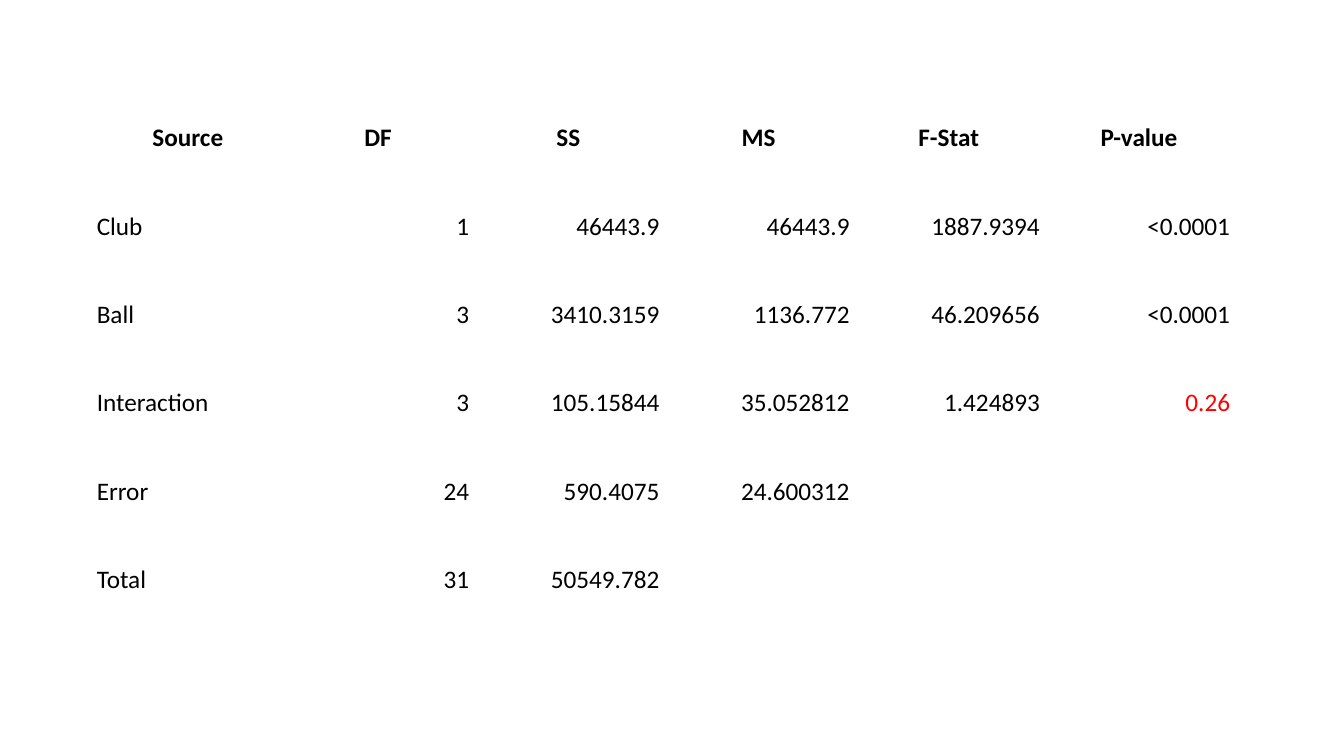
from pptx import Presentation
from pptx.dml.color import RGBColor
from pptx.enum import text
from pptx.util import Inches, Pt

HEADINGS = ["Source", "DF", "SS", "MS", "F-Stat", "P-value"]
EFFECTS = [
    ["Club", "1", "46443.9", "46443.9", "1887.9394", "<0.0001"],
    ["Ball", "3", "3410.3159", "1136.772", "46.209656", "<0.0001"],
    ["Interaction", "3", "105.15844", "35.052812", "1.424893", "0.26"],
    ["Error", "24", "590.4075", "24.600312", "", ""],
    ["Total", "31", "50549.782", "", "", ""],
]
NOT_SIGNIFICANT = (3, 5)
CELL_MARGIN = Inches(0.04)


def colour(hex_code):
    return RGBColor.from_string(hex_code)


def fill_cell(cell, value, align, ink, bold):
    cell.fill.solid()
    cell.fill.fore_color.rgb = colour("FFFFFF")
    cell.margin_left = cell.margin_right = CELL_MARGIN
    cell.margin_top = cell.margin_bottom = CELL_MARGIN
    cell.vertical_anchor = text.MSO_ANCHOR.TOP
    if not value:
        return
    paragraph = cell.text_frame.paragraphs[0]
    paragraph.alignment = align
    run = paragraph.add_run()
    run.text = value
    run.font.name = "Calibri"
    run.font.size = Pt(18)
    run.font.bold = bold
    run.font.color.rgb = colour(ink)


def add_anova_table(slide, left, top, width, height):
    """Place the variance table, with equal rows and columns, in the given box."""
    rows = [HEADINGS] + EFFECTS
    anova = slide.shapes.add_table(
        len(rows), len(HEADINGS),
        Inches(left), Inches(top), Inches(width), Inches(height),
    ).table
    anova.horz_banding = False
    for row, values in enumerate(rows):
        for column, value in enumerate(values):
            if row == 0:
                align = text.PP_ALIGN.CENTER
            elif column == 0:
                align = text.PP_ALIGN.LEFT
            else:
                align = text.PP_ALIGN.RIGHT
            ink = "FF0000" if (row, column) == NOT_SIGNIFICANT else "000000"
            fill_cell(anova.cell(row, column), value, align, ink, bold=row == 0)


def main():
    deck = Presentation()
    deck.slide_width, deck.slide_height = Inches(13.33), Inches(7.5)
    slide = deck.slides.add_slide(deck.slide_layouts[6])
    add_anova_table(slide, 0.92, 1.18, 11.32, 5.26)
    deck.save("out.pptx")


if __name__ == "__main__":
    main()
